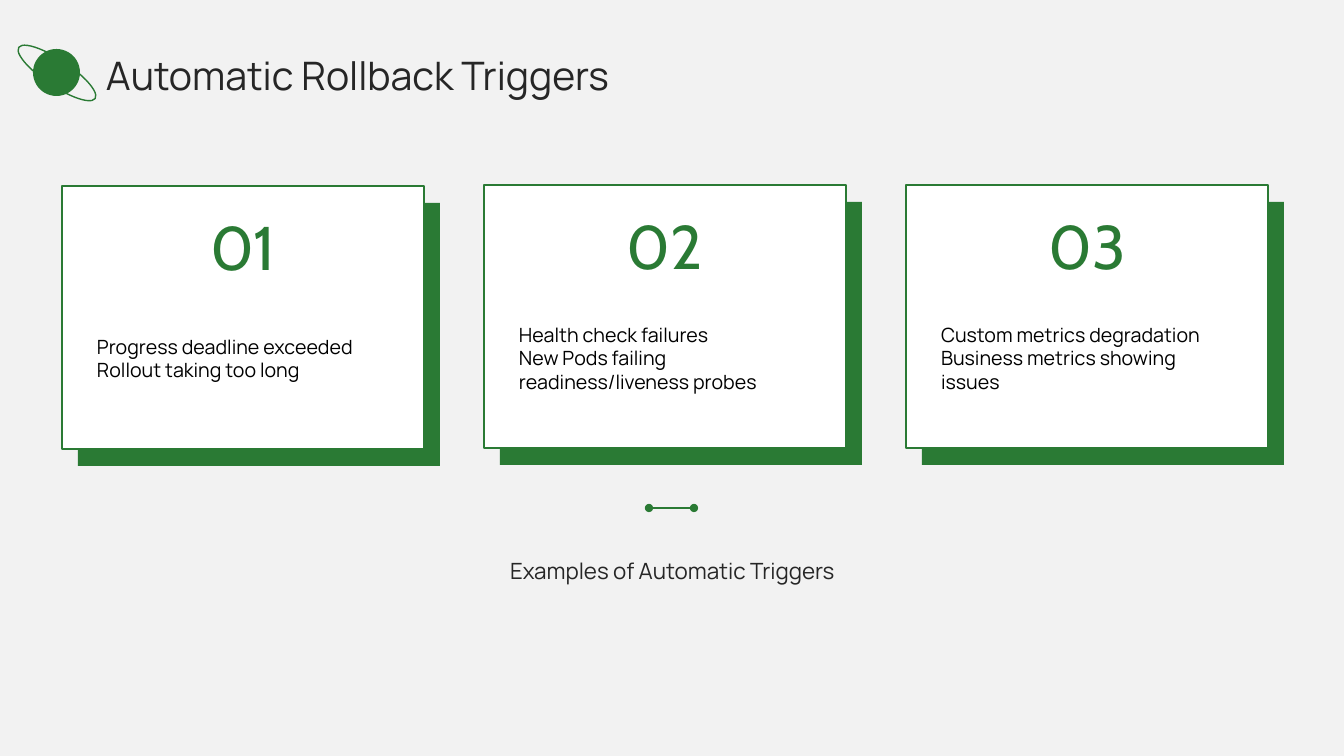
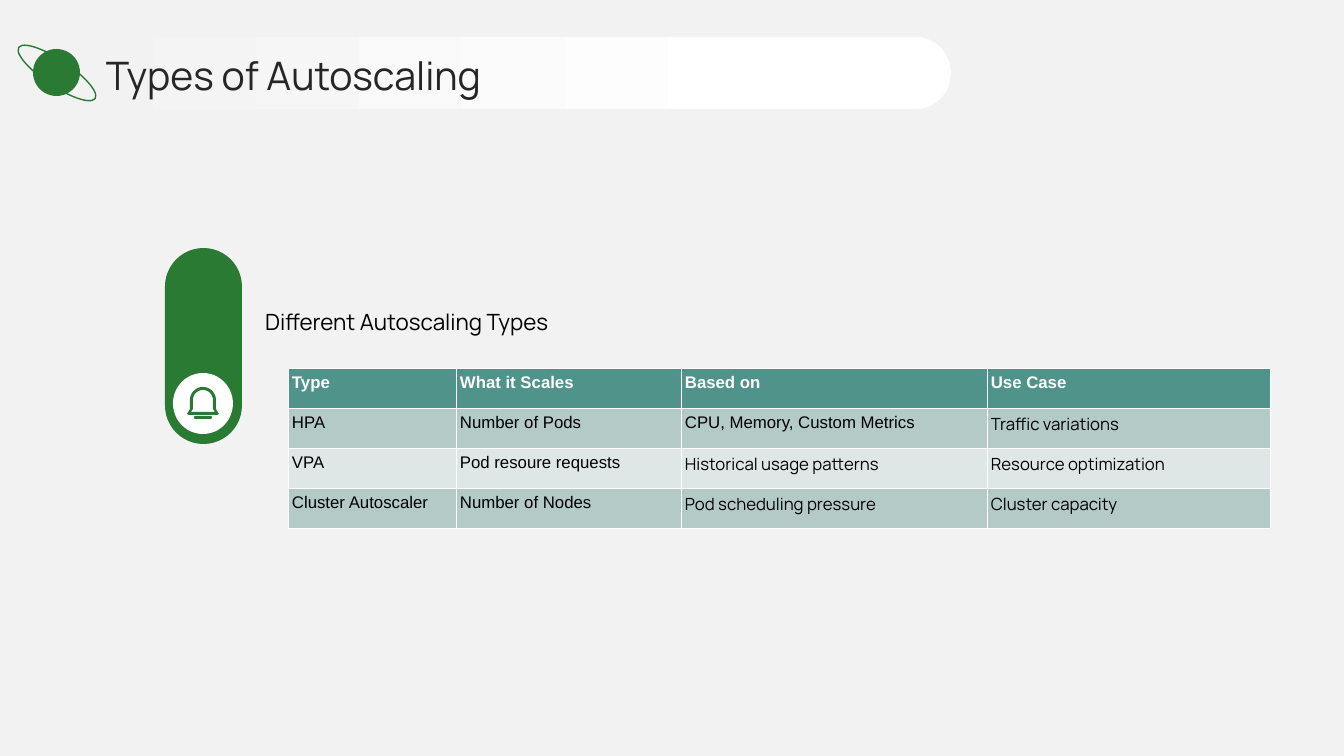
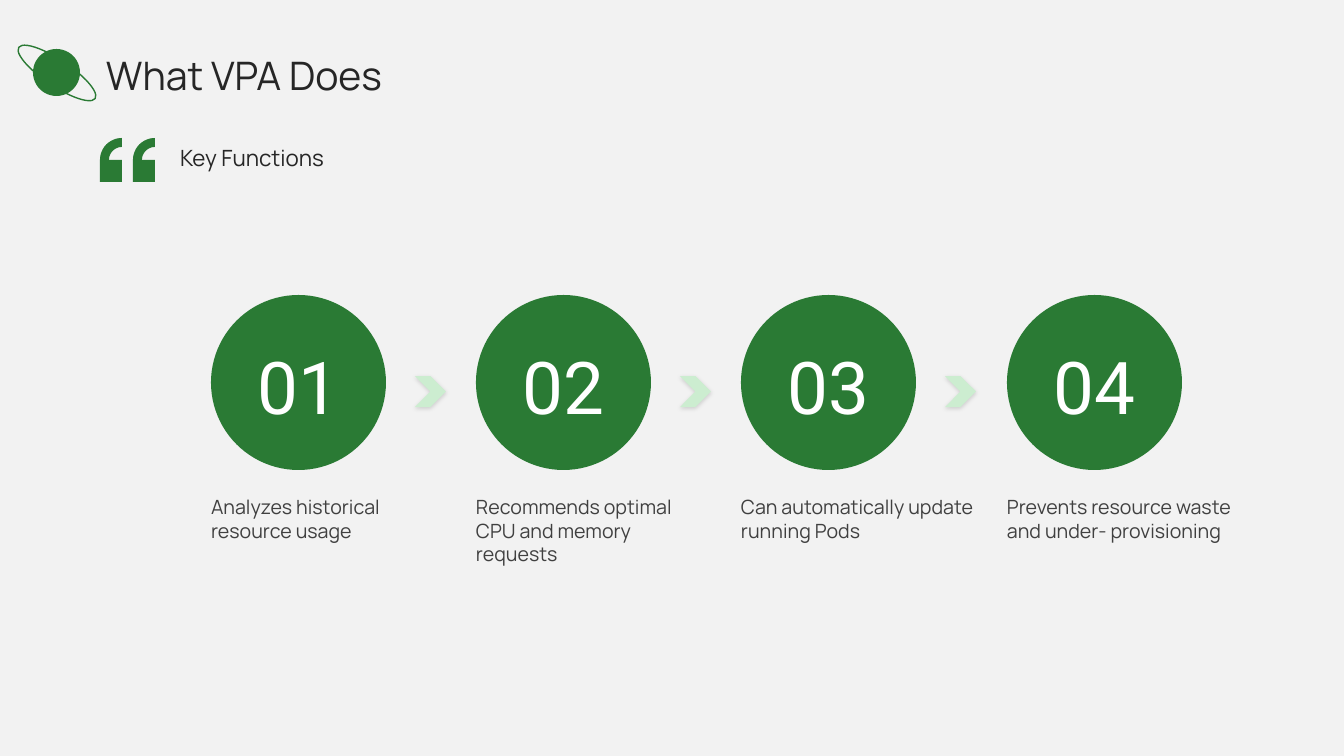
import math
from lxml import etree
from pptx import Presentation, util as u
from pptx.dml.color import RGBColor
from pptx.enum import shapes as kinds, text as t
from pptx.oxml import parse_xml
from pptx.oxml.ns import nsdecls, qn

PX = 12192000 / 1344
GREEN, WHITE, BLACK, GREY, INK = "2A7A34", "FFFFFF", "000000", "F2F2F2", "262626"
SHAPE = kinds.MSO_SHAPE
TOP, MIDDLE, BOTTOM = t.MSO_ANCHOR.TOP, t.MSO_ANCHOR.MIDDLE, t.MSO_ANCHOR.BOTTOM
LEFT, CENTER = t.PP_ALIGN.LEFT, t.PP_ALIGN.CENTER
color = RGBColor.from_string


def add_shape(slide, kind, box, fill=None, line=None, width=1):
    """Add a preset shape, or a text box when kind is None; box is in px."""
    place = [round(value * PX) for value in box]
    if kind is None:
        return slide.shapes.add_textbox(*place)
    shape = slide.shapes.add_shape(kind, *place)
    shape.shadow.inherit = False
    if fill:
        shape.fill.solid()
        shape.fill.fore_color.rgb = color(fill)
    else:
        shape.fill.background()
    if line:
        shape.line.color.rgb = color(line)
        shape.line.width = u.Pt(width)
    else:
        shape.line.fill.background()
    return shape


def write(shape, words, size, ink, name="Manrope", bold=False,
          anchor=TOP, align=LEFT, margins=(0, 0, 0, 0)):
    """Fill a shape or table cell with text in one format."""
    frame = shape.text_frame
    frame.text = words
    frame.word_wrap = True
    # A table cell keeps its own anchor and margins
    holder = shape if hasattr(shape, "is_spanned") else frame
    holder.vertical_anchor = anchor
    for side, margin in zip(("left", "top", "right", "bottom"), margins):
        setattr(holder, f"margin_{side}", round(margin * PX))
    for paragraph in frame.paragraphs:
        paragraph.alignment = align
        for run in paragraph.runs:
            for key, value in {"size": u.Pt(size), "name": name, "bold": bold}.items():
                setattr(run.font, key, value)
            run.font.color.rgb = color(ink)


presentation = Presentation()
presentation.slide_width, presentation.slide_height = round(1344 * PX), round(756 * PX)
background = presentation.slide_master.background.fill
background.solid()
background.fore_color.rgb = color(GREY)

# Shared title and planet
slides = []
for heading in ("Automatic Rollback Triggers", "Types of Autoscaling", "What VPA Does"):
    slide = presentation.slides.add_slide(presentation.slide_layouts[5])
    title = slide.shapes.title
    title.left, title.top, title.width, title.height = [
        round(value * PX) for value in (106, 49, 1176, 51)]
    write(title, heading, 28, INK, anchor=MIDDLE)
    title.text_frame.auto_size = t.MSO_AUTO_SIZE.NONE
    add_shape(slide, SHAPE.OVAL, (33, 49, 47, 47), GREEN)
    ring = add_shape(slide, SHAPE.OVAL, (11, 60, 92, 26), line=GREEN)
    ring.rotation = 33.8
    slides.append(slide)
triggers, autoscaling, functions = slides

# Triggers: three cards with offset backs
cards = [
    (186, "Progress deadline exceeded\nRollout taking too long"),
    (185, "Health check failures\nNew Pods failing readiness/liveness probes"),
    (185, "Custom metrics degradation\nBusiness metrics showing issues"),
]
for index, (top, words) in enumerate(cards):
    left = 62 + 422 * index
    add_shape(triggers, SHAPE.RECTANGLE, (left + 16, top + 17, 362, 263), GREEN)
    add_shape(triggers, SHAPE.RECTANGLE, (left, top, 362, 263), WHITE, GREEN, 2)
    number = add_shape(triggers, None, (left, top + 17, 362, 85))
    write(number, f"{index + 1:02}", 44, GREEN, "Cabin", anchor=BOTTOM,
          align=CENTER, margins=(10, 5, 10, 5))
    body = add_shape(triggers, None, (left + 25, 287, 311, 142))
    write(body, words, 14, BLACK, anchor=MIDDLE, margins=(10, 5, 10, 5))

# Triggers: divider and caption
divider = triggers.shapes.add_connector(
    kinds.MSO_CONNECTOR.STRAIGHT, *[round(value * PX) for value in (649, 508, 694, 508)])
divider.line.color.rgb = color(GREEN)
divider.line.width = u.Pt(1)
properties = divider.element.spPr
for end in ("a:headEnd", "a:tailEnd"):
    etree.SubElement(properties.find(qn("a:ln")), qn(end), type="oval")
etree.SubElement(properties, qn("a:effectLst"))
caption = add_shape(triggers, None, (75, 525, 1195, 91))
write(caption, "Examples of Automatic Triggers", 16, INK, anchor=MIDDLE,
      align=CENTER, margins=(7, 4, 7, 4))

# Autoscaling: gradient band behind the title
band = add_shape(autoscaling, SHAPE.ROUNDED_RECTANGLE, (50, 37, 901, 72), WHITE)
band.adjustments[0] = 0.5
band.fill.gradient()
band.fill.gradient_angle = 0
for stop, position, tint in zip(band.fill.gradient_stops, (0, 0.8), (GREY, WHITE)):
    stop.position = position
    stop.color.rgb = color(tint)
autoscaling.shapes.title.element.addprevious(band.element)

# Autoscaling: pill, badge and label
pill = add_shape(autoscaling, SHAPE.ROUNDED_RECTANGLE, (165, 248, 77, 196), GREEN)
add_shape(autoscaling, SHAPE.OVAL, (173, 373, 60, 61), WHITE)
clapper = add_shape(autoscaling, SHAPE.ROUNDED_RECTANGLE, (194, 416, 18, 3), GREEN)
for capsule in (pill, clapper):
    capsule.adjustments[0] = 0.5
label = add_shape(autoscaling, None, (265, 248, 932, 87))
write(label, "Different Autoscaling Types", 16, BLACK, anchor=BOTTOM)

# Autoscaling: table; each row names its first column set in Manrope
rows = [
    (4, "50938A", ("Type", "What it Scales", "Based on", "Use Case")),
    (3, "B3CAC7", ("HPA", "Number of Pods", "CPU, Memory, Custom Metrics",
                   "Traffic variations")),
    (2, "DEE7E5", ("VPA", "Pod resoure requests", "Historical usage patterns",
                   "Resource optimization")),
    (2, "B3CAC7", ("Cluster Autoscaler", "Number of Nodes", "Pod scheduling pressure",
                   "Cluster capacity")),
]
widths = (168, 225, 306, 283)
table = autoscaling.shapes.add_table(
    len(rows), len(widths),
    *[round(value * PX) for value in (288, 368, sum(widths), 160)]).table
for column, width in zip(table.columns, widths):
    column.width = round(width * PX)
for row_index, (manrope_from, fill, words) in enumerate(rows):
    table.rows[row_index].height = round(40 * PX)
    header = row_index == 0
    for column_index, word in enumerate(words):
        cell = table.cell(row_index, column_index)
        write(cell, word, 12, WHITE if header else BLACK,
              "Manrope" if column_index >= manrope_from else "Arial",
              bold=header, margins=(4, 5, 4, 5))
        for side in "LRTB":
            cell._tc.get_or_add_tcPr().append(parse_xml(
                f'<a:ln{side} {nsdecls("a")} w="7200"><a:solidFill>'
                f'<a:srgbClr val="{WHITE}"/></a:solidFill></a:ln{side}>'))
        cell.fill.solid()
        cell.fill.fore_color.rgb = color(fill)

# Functions: subtitle and numbered steps
subtitle = add_shape(functions, None, (180, 144, 1059, 150))
write(subtitle, "Key Functions", 16, INK)
steps = [
    "Analyzes historical resource usage",
    "Recommends optimal CPU and memory requests",
    "Can automatically update running Pods",
    "Prevents resource waste and under- provisioning",
]
for index, words in enumerate(steps):
    left = 211 + 796 * index // 3
    circle = add_shape(functions, SHAPE.OVAL, (left, 295, 175, 175), GREEN)
    write(circle, f"{index + 1:02}", 52, WHITE, "Roboto", anchor=MIDDLE,
          align=CENTER, margins=(0, 6, 0, 0))
    description = add_shape(functions, None, (left, 491, 236, 199))
    write(description, words, 14, "404040", margins=(0, 4, 0, 4))
    if index < len(steps) - 1:
        chevron = add_shape(functions, SHAPE.CHEVRON, (left + 204, 376, 31, 31), "CCEDD0")
        chevron.element.spPr.find(qn("a:effectLst")).append(parse_xml(
            f'<a:outerShdw {nsdecls("a")} blurRad="38100" dist="12700" dir="5400000">'
            f'<a:srgbClr val="{BLACK}"><a:alpha val="15000"/></a:srgbClr></a:outerShdw>'))

# Icon outlines, built on a unit half circle that runs left, top, right
half = [(math.cos(angle), math.sin(angle))
        for angle in (math.pi * (1 + step / 24) for step in range(25))]
quarter = half[:13]
bell = [
    [(190, 409)] + [(203 + 13 * x, 400 + 13 * y) for x, y in half]
    + [(216, 409), (219, 414), (217, 415), (189, 415), (187, 414)],
    [(193, 409)] + [(203 + 10 * x, 400 + 10 * y) for x, y in half]
    + [(213, 409), (215, 412), (191, 412)],
]
quotes = [
    [(right + 22 * x, 160 + 22 * y) for x, y in quarter]
    + [(right + 13 * x, 160 + 13 * y) for x, y in reversed(quarter)]
    + [(right, 160), (right, 182), (right - 22, 182)]
    for right in (122, 155)
]
for slide, outlines in ((autoscaling, bell), (functions, quotes)):
    # Tenths of a px keep the curves smooth
    outlines = [[(x * 10, y * 10) for x, y in outline] for outline in outlines]
    builder = slide.shapes.build_freeform(*outlines[0][0], scale=PX / 10)
    for index, outline in enumerate(outlines):
        if index:
            builder.move_to(*outline[0])
        builder.add_line_segments(outline[1:], close=True)
    icon = builder.convert_to_shape()
    icon.shadow.inherit = False
    icon.fill.solid()
    icon.fill.fore_color.rgb = color(GREEN)
    icon.line.fill.background()

presentation.save("out.pptx")
